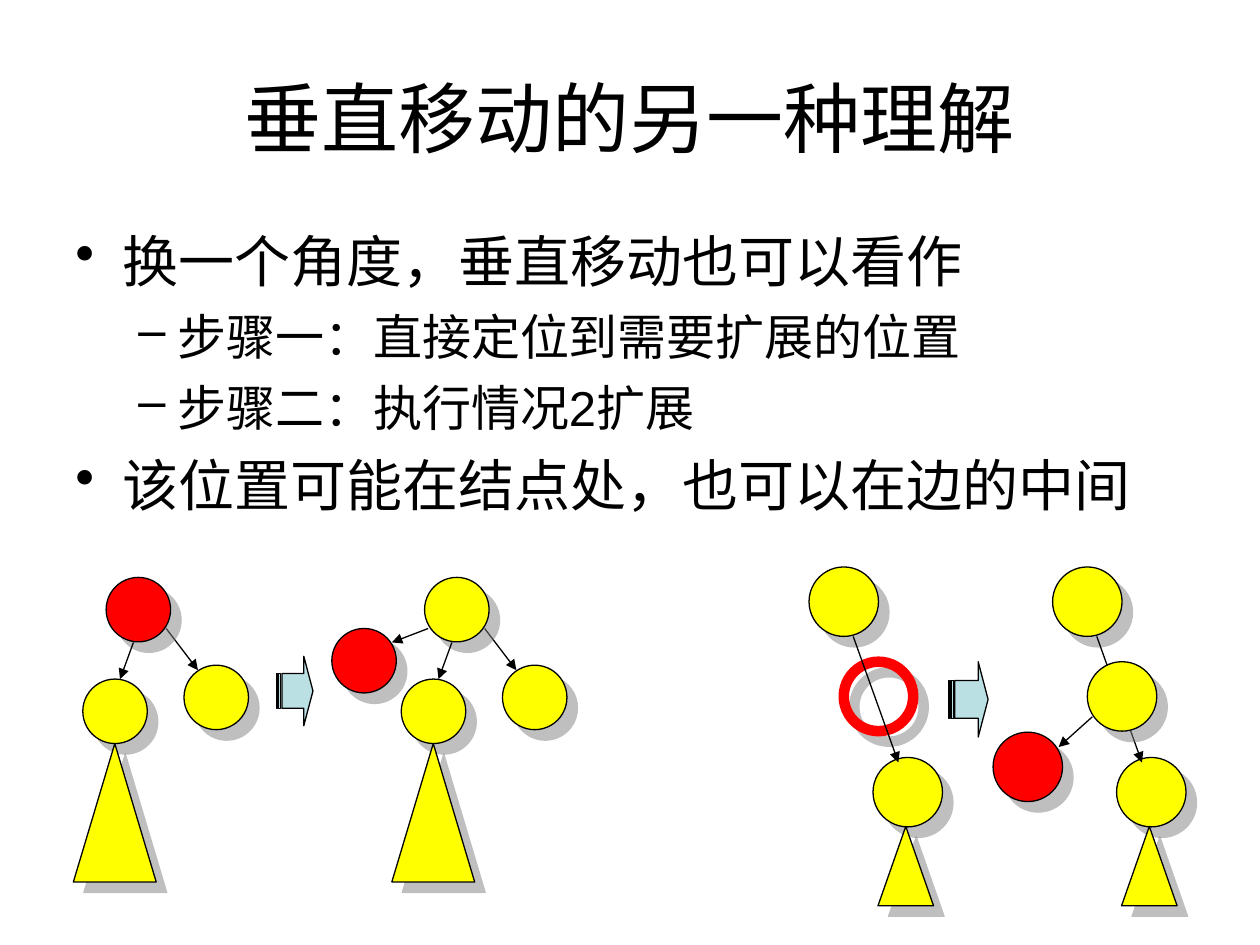
import lxml.etree
import pptx
import pptx.dml.color
import pptx.enum.shapes
import pptx.enum.text
import pptx.oxml
import pptx.oxml.ns
import pptx.util

Cm = pptx.util.Cm
Pt = pptx.util.Pt
SHAPE = pptx.enum.shapes.MSO_SHAPE
ALIGN = pptx.enum.text.PP_ALIGN
ANCHOR = pptx.enum.text.MSO_ANCHOR

BLACK, YELLOW, RED, TEAL = "000000", "FFFF00", "FF0000", "BBE0E3"
OUTLINE = [
    ("换一个角度，垂直移动也可以看作", 0),
    ("步骤一：直接定位到需要扩展的位置", 1),
    ("步骤二：执行情况2扩展", 1),
    ("该位置可能在结点处，也可以在边的中间", 0),
]
LEVELS = [
    {"bullet": "•", "size": 32, "margin": 0.95, "hang": 0.95, "before": 8},
    {"bullet": "–", "size": 28, "margin": 2.06, "hang": 0.79, "before": 7},
]
SMALL_NODE, LARGE_NODE = 1.3, 1.4
LEFT_STEP, RIGHT_STEP = 6.42, 4.91


def paint(color_target, color):
    color_target.rgb = pptx.dml.color.RGBColor.from_string(color)


def add_effects(shape, shadow=False):
    properties = shape._element.spPr
    effects = lxml.etree.SubElement(properties, pptx.oxml.ns.qn("a:effectLst"))
    if shadow:
        effects.append(pptx.oxml.parse_xml(
            f'<a:outerShdw {pptx.oxml.ns.nsdecls("a")} dist="{Pt(8.5)}" dir="2700000" '
            'algn="ctr" rotWithShape="0"><a:srgbClr val="808080">'
            '<a:alpha val="50000"/></a:srgbClr></a:outerShdw>'))


def write(paragraph, text, size, align=ALIGN.LEFT, bullet=None, margin=0, hang=0, before=0):
    paragraph.alignment = align
    paragraph.space_before = Pt(before)
    if bullet:
        properties = paragraph._p.get_or_add_pPr()
        properties.set("marL", str(Cm(margin)))
        properties.set("indent", str(-Cm(hang)))
        mark = lxml.etree.SubElement(properties, pptx.oxml.ns.qn("a:buChar"))
        mark.set("char", bullet)
    run = paragraph.add_run()
    run.text = text
    run.font.name = "Arial"
    run.font.size = Pt(size)
    paint(run.font.color, color=BLACK)


def add_title(slide, text):
    title = slide.shapes.title
    title.left, title.top, title.width, title.height = Cm(1.27), Cm(0.76), Cm(22.86), Cm(3.18)
    title.text_frame.vertical_anchor = ANCHOR.MIDDLE
    write(title.text_frame.paragraphs[0], text, size=44, align=ALIGN.CENTER)


def add_outline(slide):
    frame = slide.shapes.add_textbox(Cm(1.27), Cm(4.45), Cm(22.86), Cm(12.57)).text_frame
    frame.word_wrap = True
    for index, (text, level) in enumerate(OUTLINE):
        paragraph = frame.add_paragraph() if index else frame.paragraphs[0]
        style = dict(LEVELS[level])
        if index == 0:
            style["before"] = 0
        write(paragraph, text, **style)


def add_figure(slide, kind, x, y, width, height, fill=YELLOW, line=BLACK, weight=0.75, shadow=True):
    figure = slide.shapes.add_shape(kind, Cm(x), Cm(y), Cm(width), Cm(height))
    if fill:
        figure.fill.solid()
        paint(figure.fill.fore_color, fill)
    else:
        figure.fill.background()
    paint(figure.line.color, line)
    figure.line.width = Pt(weight)
    add_effects(figure, shadow)
    return figure


def add_node(slide, x, y, size, fill=YELLOW, **outline):
    add_figure(slide, SHAPE.OVAL, x, y, size, size, fill, **outline)


def add_subtree(slide, x, y, width, height):
    add_figure(slide, SHAPE.ISOSCELES_TRIANGLE, x, y, width, height)


def add_edge(slide, x1, y1, x2, y2):
    edge = slide.shapes.add_connector(
        pptx.enum.shapes.MSO_CONNECTOR.STRAIGHT, Cm(x1), Cm(y1), Cm(x2), Cm(y2))
    paint(edge.line.color, BLACK)
    edge.line.width = Pt(0.75)
    head = lxml.etree.SubElement(edge.line._get_or_add_ln(), pptx.oxml.ns.qn("a:tailEnd"))
    head.set("type", "triangle")
    add_effects(edge)


def add_step_arrow(slide, x, y, width, height):
    arrow = add_figure(slide, SHAPE.STRIPED_RIGHT_ARROW, x, y, width, height, TEAL, shadow=False)
    arrow.adjustments[0] = 0.5
    arrow.adjustments[1] = 0.25


def add_node_tree(slide, dx, root_fill):
    add_node(slide, 1.67 + dx, 13.69, SMALL_NODE)
    add_node(slide, 3.71 + dx, 13.41, SMALL_NODE)
    add_subtree(slide, 1.48 + dx, 14.99, 1.67, 2.79)
    add_edge(slide, 3.35 + dx, 12.67, 3.99 + dx, 13.51)
    add_node(slide, 2.14 + dx, 11.64, SMALL_NODE, root_fill)
    add_edge(slide, 2.69 + dx, 12.95, 2.42 + dx, 13.69)


def add_edge_ends(slide, dx):
    add_node(slide, 17.6 + dx, 15.27, LARGE_NODE)
    add_subtree(slide, 17.7 + dx, 16.66, 1.12, 1.6)
    add_node(slide, 16.31 + dx, 11.43, LARGE_NODE)


def add_long_edge(slide, dx):
    add_edge(slide, 17.2 + dx, 12.83, 18.11 + dx, 15.37)


def add_node_case(slide):
    add_node_tree(slide, 0, RED)
    add_node_tree(slide, LEFT_STEP, YELLOW)
    add_node(slide, 6.69, 12.67, SMALL_NODE, RED)
    add_edge(slide, 8.63, 12.67, 7.9, 12.95)
    add_step_arrow(slide, 5.57, 13.23, 0.74, 1.4)


def add_edge_case(slide):
    add_edge_ends(slide, 0)
    add_node(slide, 17.01, 13.34, LARGE_NODE, fill=None, line=RED, weight=6)
    add_long_edge(slide, 0)
    add_edge_ends(slide, RIGHT_STEP)
    add_long_edge(slide, RIGHT_STEP)
    add_node(slide, 17.01 + RIGHT_STEP, 13.34, LARGE_NODE)
    add_node(slide, 20.02, 14.76, LARGE_NODE, RED)
    add_edge(slide, 22.02, 14.45, 21.34, 15.06)
    add_step_arrow(slide, 19.12, 13.34, 0.8, 1.52)


def main():
    deck = pptx.Presentation()
    deck.slide_width, deck.slide_height = Cm(25.4), Cm(19.05)
    slide = deck.slides.add_slide(deck.slide_layouts.get_by_name("Title Only"))
    add_title(slide, "垂直移动的另一种理解")
    add_outline(slide)
    add_node_case(slide)
    add_edge_case(slide)
    deck.save("out.pptx")


if __name__ == "__main__":
    main()
